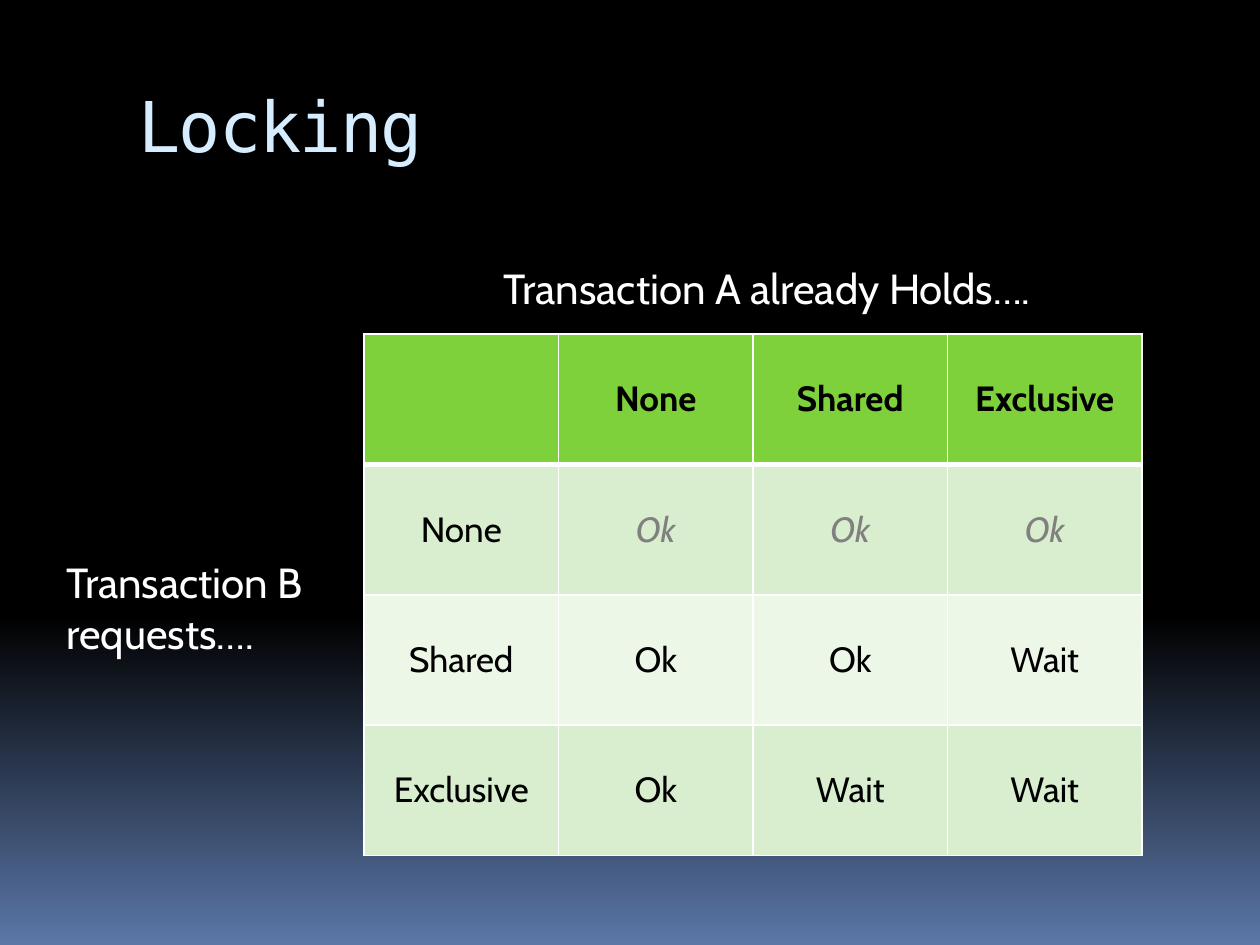
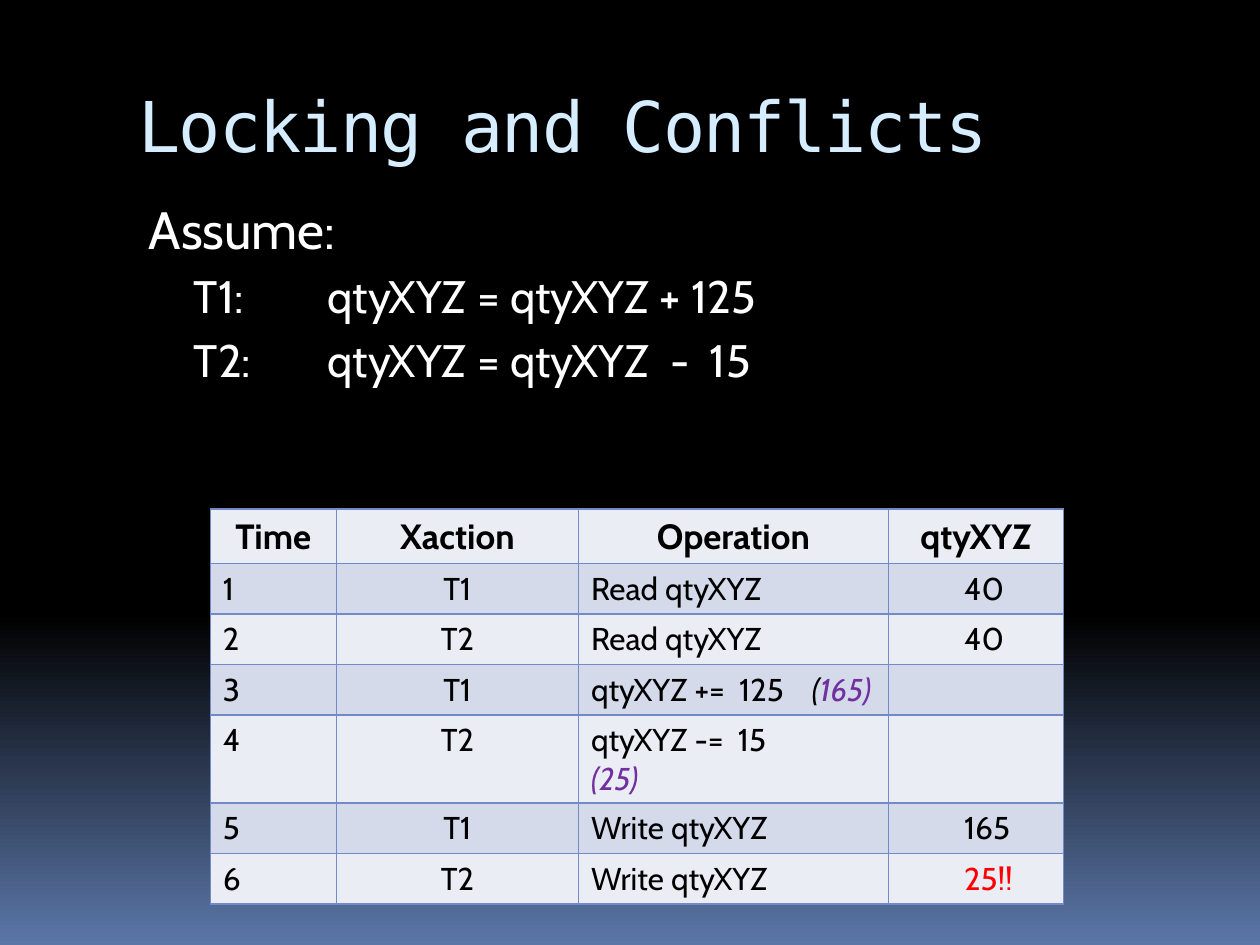
from lxml import etree
from pptx import Presentation
from pptx.dml.color import RGBColor
from pptx.enum.text import MSO_ANCHOR, MSO_AUTO_SIZE, PP_ALIGN
from pptx.oxml.ns import qn
from pptx.util import Cm, Pt

LEFT, CENTER = PP_ALIGN.LEFT, PP_ALIGN.CENTER
TOP, MIDDLE = MSO_ANCHOR.TOP, MSO_ANCHOR.MIDDLE
FIT_SHAPE = MSO_AUTO_SIZE.SHAPE_TO_FIT_TEXT

COLORS = {
    "black": "000000", "white": "FFFFFF", "glow": "5B77A8", "title": "D6ECFF",
    "green": "7FD13B", "green_mid": "D8EECE", "green_pale": "ECF7E8",
    "blue_line": "738AC8", "blue_mid": "D5DAEB", "blue_pale": "EBEDF5",
    "gray": "808080", "purple": "7030A0", "red": "FF0000",
}
TITLE_FONT, BODY_FONT = "DejaVu Sans Mono", "Cabin"


def rgb(name):
    return RGBColor.from_string(COLORS[name])


def set_font(font, size, color="white", name=BODY_FONT, bold=False, italic=False):
    font.name, font.size, font.bold, font.italic = name, Pt(size), bold, italic
    font.color.rgb = rgb(color)


def set_indent(p, margin, first=0):
    pPr = p._p.get_or_add_pPr()
    pPr.set("marL", str(Cm(margin)))
    pPr.set("indent", str(Cm(first)))


def add_tab_stop(p, pos):
    tabs = etree.SubElement(p._p.get_or_add_pPr(), qn("a:tabLst"))
    etree.SubElement(tabs, qn("a:tab"), pos=str(Cm(pos)), algn="l")


def add_textbox(s, box, wrap=True):
    tf = s.shapes.add_textbox(*map(Cm, box)).text_frame
    tf.word_wrap = wrap
    return tf


def add_slide(prs, title):
    """Blank slide with the shared gradient background and title."""
    s = prs.slides.add_slide(prs.slide_layouts[6])
    fill = s.background.fill
    fill.gradient()
    fill.gradient_angle = 270
    for stop, pos, color in zip(fill.gradient_stops, (0.65, 1), ("black", "glow")):
        stop.position = pos
        stop.color.rgb = rgb(color)

    tf = add_textbox(s, (2.54, 1.42, 21.59, 2.54))
    tf.margin_top = Cm(0.25)
    p = tf.paragraphs[0]
    r = p.add_run()
    r.text = title
    set_font(r.font, 40, "title", TITLE_FONT)
    r._r.get_or_add_rPr().set("spc", "-100")
    return s


def add_label(s, box, text, wrap):
    tf = add_textbox(s, box, wrap)
    tf.auto_size = FIT_SHAPE
    p = tf.paragraphs[0]
    p.text = text
    set_font(p.font, 24)


def add_grid(s, box, widths, heights):
    """Table without built-in styling, with the given columns and rows."""
    table = s.shapes.add_table(len(heights), len(widths), *map(Cm, box)).table
    table.first_row = table.horz_banding = False
    for col, width in zip(table.columns, widths):
        col.width = Cm(width)
    for row, height in zip(table.rows, heights):
        row.height = Cm(height)
    return table


def style_cell(cell, fill, line, top=1, bottom=1):
    cell.fill.solid()
    cell.fill.fore_color.rgb = rgb(fill)
    tcPr = cell._tc.get_or_add_tcPr()
    sides = (("a:lnL", 1), ("a:lnR", 1), ("a:lnT", top), ("a:lnB", bottom))
    for i, (tag, width) in enumerate(sides):
        ln = etree.Element(qn(tag), w=str(Pt(width)))
        solid = etree.SubElement(ln, qn("a:solidFill"))
        etree.SubElement(solid, qn("a:srgbClr"), val=COLORS[line])
        tcPr.insert(i, ln)


def write_cell(cell, text, size, align=LEFT, anchor=TOP, color="black", **style):
    cell.vertical_anchor = anchor
    p = cell.text_frame.paragraphs[0]
    p.alignment = align
    set_font(p.font, size, color, **style)
    if text:
        p.text = text
    return p


def add_lock_matrix(s, box):
    """Which lock requests are granted, by lock already held."""
    modes = ("None", "Shared", "Exclusive")
    rows = [("",) + modes] + [
        (mode,) + answers for mode, answers in zip(modes, (
            ("Ok", "Ok", "Ok"), ("Ok", "Ok", "Wait"), ("Ok", "Wait", "Wait")))]
    fills = ("green", "green_mid", "green_pale", "green_mid")
    table = add_grid(s, box, [box[2] / 4] * 4, [box[3] / 4] * 4)
    for i, row in enumerate(rows):
        for j, text in enumerate(row):
            cell = table.cell(i, j)
            style_cell(cell, fills[i], "white",
                       top=3 if i == 1 else 1, bottom=3 if i == 0 else 1)
            trivial = i == 1 and j > 0
            write_cell(cell, text, 20, CENTER, MIDDLE,
                       "gray" if trivial else "black",
                       bold=i == 0, italic=trivial)


def add_assumptions(s, box):
    """The two transactions, as an indented list."""
    tf = add_textbox(s, box)
    lines = (("Assume:", 30, 1.63, 0),
             ("T1: \t\tqtyXYZ = qtyXYZ + 125", 26, 2.54, 5),
             ("T2:\t\tqtyXYZ = qtyXYZ  -  15", 26, 2.54, 5))
    for i, (text, size, margin, before) in enumerate(lines):
        p = tf.add_paragraph() if i else tf.paragraphs[0]
        p.text = text
        p.space_before = Pt(before)
        set_font(p.font, size)
        set_indent(p, margin, -1.42)


def add_result(p, text, color="purple"):
    r = p.add_run()
    r.text = text
    set_font(r.font, 18, color, italic=True)


def add_schedule(s, box):
    """Interleaved steps of the two transactions."""
    header = ("Time", "Xaction", "Operation", "qtyXYZ")
    steps = (("Read qtyXYZ", "40"), ("Read qtyXYZ", "40"),
             ("qtyXYZ +=  125\t", ""), ("qtyXYZ -=  15", ""),
             ("Write qtyXYZ", "165"), ("Write qtyXYZ", "25!!"))
    table = add_grid(s, box, (2.54, 4.88, 6.25, 3.53), [0.91] + [0.84] * 6)
    for j, text in enumerate(header):
        style_cell(table.cell(0, j), "blue_pale", "blue_line")
        write_cell(table.cell(0, j), text, 20, CENTER, bold=True)

    for i, (operation, quantity) in enumerate(steps, 1):
        cells = [table.cell(i, j) for j in range(4)]
        for cell in cells:
            style_cell(cell, "blue_mid" if i % 2 else "blue_pale", "blue_line")
        write_cell(cells[0], str(i), 18)
        write_cell(cells[1], "T1" if i % 2 else "T2", 18, CENTER)
        p = write_cell(cells[2], operation, 18)
        if i == 3:
            add_tab_stop(p, 4.45)
            add_result(p, "(", "black")
            add_result(p, "165)")
        elif i == 4:
            p.add_line_break()
            add_result(p, "(25)")
        p = write_cell(cells[3], quantity, 18,
                       color="red" if i == len(steps) else "black")
        set_indent(p, 1.27)


prs = Presentation()
prs.slide_width, prs.slide_height = Cm(25.4), Cm(19.05)

# Lock compatibility
s = add_slide(prs, "Locking")
add_lock_matrix(s, (7.34, 6.73, 15.68, 10.52))
add_label(s, (9.91, 5.16, 11.2, 1.27), "Transaction A already Holds….", wrap=False)
add_label(s, (1.09, 11.1, 5.31, 2.31), "Transaction B requests….", wrap=True)

# Lost update
s = add_slide(prs, "Locking and Conflicts")
add_assumptions(s, (2.54, 3.84, 21.59, 14.27))
add_schedule(s, (4.24, 10.26, 17.2, 7.19))

prs.save("out.pptx")
